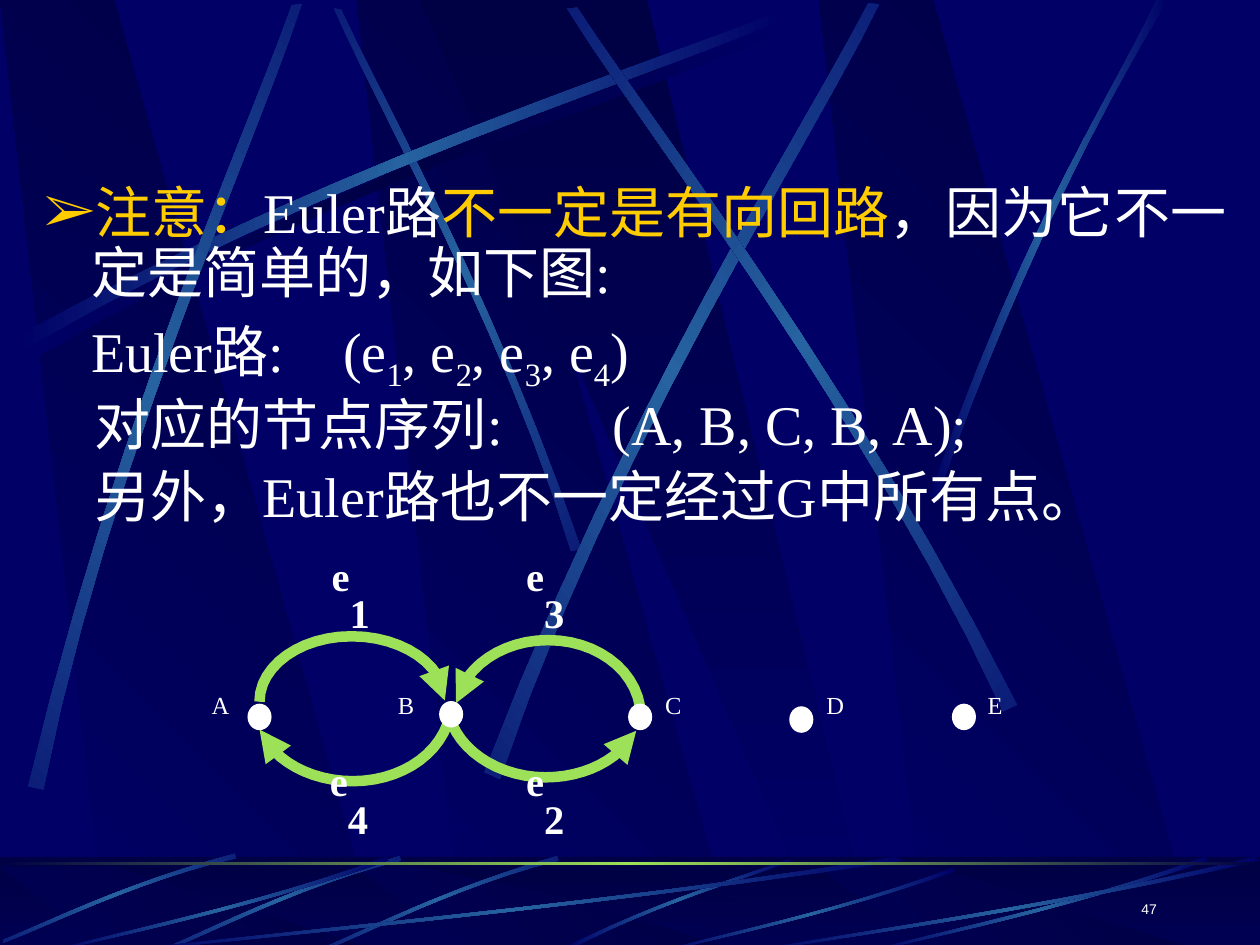
from dataclasses import dataclass

from lxml.etree import SubElement
from pptx import Presentation
from pptx.dml.color import RGBColor
from pptx.enum.shapes import MSO_SHAPE
from pptx.enum.text import MSO_ANCHOR, PP_ALIGN
from pptx.oxml.ns import qn
from pptx.util import Pt


@dataclass(frozen=True)
class Theme:
    navy: str = "000066"
    night: str = "000044"
    beam: str = "2663A0"
    green: str = "9CE157"
    gold: str = "FFCC00"
    white: str = "FFFFFF"
    serif: str = "Times New Roman"
    sans: str = "Arial"
    body: float = 32
    node: float = 14
    edge: float = 23.2
    edge_index: float = 40
    number: float = 8


THEME = Theme()
DEEPEN = (THEME.navy, THEME.night)
LIGHTEN = (THEME.night, THEME.navy)
SHADE = (THEME.navy, THEME.night, THEME.navy)
GLOW = (THEME.navy, THEME.beam, THEME.navy)

PILLAR = [(0.28, 1), (1, 1), (0.3, 0), (0, 0)]
WEDGE = [(0, 0), (0.9, 1), (1, 1), (0.5, 0)]
RAY = [(0, 0.96), (0.43, 0.43), (0.83, 0.15), (0.99, 0),
       (1, 0.02), (0.83, 0.19), (0.38, 0.5), (0.01, 1)]
SPIKE = [(0, 0.99), (0.4, 0.44), (0.79, 0.17), (0.95, 0),
         (1, 0), (0.52, 0.37), (0.16, 0.81), (0.03, 1)]
SWEEP = [(1, 0.04), (0.57, 0.57), (0.17, 0.85), (0.01, 1),
         (0, 0.99), (0.17, 0.81), (0.61, 0.51), (0.99, 0)]

RAYS = [
    ((14.4, 13, 437.8, 192.2), 0, False, SHADE),
    ((101.5, 97.2, 318.2, 126), 45, True, GLOW),
    ((10.1, 7.2, 437.8, 192.2), 0, False, GLOW),
    ((-123.1, 131, 437.8, 192.2), 311.7, False, GLOW),
    ((166.3, 115.2, 449.3, 216.7), 321.6, False, GLOW),
    ((232.6, 109.4, 437.8, 192.2), 34.7, True, GLOW),
]
FLOOR_RAYS = [
    ((322.6, 491, 129.6, 52.6), 0, False, GLOW),
    ((185.8, 486.7, 132.5, 59.8), 315, True, GLOW),
    ((95.8, 486.7, 132.5, 59.8), 315, True, GLOW),
    ((3.6, 483.1, 129.6, 61.2), 315, True, GLOW),
]
FLOOR_SWEEPS = [
    (72, 489.6, 444.2, 54), (30.2, 489.6, 192.2, 54), (379.4, 496.1, 166.3, 47.5),
    (498.2, 489.6, 192.2, 54), (432, 489.6, 288, 54),
]
ARCS = [
    [(365.8, 403.9), (362.2, 381.6), (339.8, 365.8), (313.2, 365.8),
     (287.3, 365.8), (265, 380.9), (260.6, 401.8)],
    [(148.3, 401), (148.3, 380.2), (172.1, 363.6), (200.9, 363.6),
     (230.4, 363.6), (254.2, 380.2), (254.2, 400.3)],
    [(255.6, 414), (248.4, 433.4), (226.8, 446.4), (201.6, 446.4),
     (177.8, 446.4), (156.2, 434.9), (148.3, 416.9)],
    [(258.5, 414), (266.4, 432), (288, 444.2), (311.8, 444.2),
     (334.1, 444.2), (354.2, 434.2), (363.6, 417.6)],
]
NODES = [("A", 141.8, 402.5, 113.8), ("B", 251.3, 401, 220.3), ("C", 359.3, 402.5, 373),
         ("D", 451.4, 404, 465.1), ("E", 544.3, 402.5, 557.3)]
EDGE_LABELS = [("1", 182.4, 294.3), ("2", 293.5, 411.8),
               ("3", 293.5, 294.3), ("4", 181.4, 411.8)]

NOTE = [
    [("注意：", THEME.gold), ("Euler路", THEME.white), ("不一定是有向回路", THEME.gold),
     ("，因为它不一定是简单的，如下图:", THEME.white)],
    [("Euler路:\t(e", None), ("1", "sub"), (", e", None), ("2", "sub"), (", e", None),
     ("3", "sub"), (", e", None), ("4", "sub"), (")", None)],
    [("对应的节点序列:\t (A, B, C, B, A);", None)],
    [("另外，Euler路也不一定经过G中所有点。", None)],
]


def rgb(color):
    return RGBColor.from_string(color)


def bezier(curve, steps=12):
    for step in range(steps + 1):
        t = step / steps
        weights = ((1 - t) ** 3, 3 * t * (1 - t) ** 2, 3 * t * t * (1 - t), t ** 3)
        yield tuple(sum(w * point[axis] for w, point in zip(weights, curve)) for axis in (0, 1))


def outline(slide, points, close):
    corners = [(Pt(x), Pt(y)) for x, y in points]
    builder = slide.shapes.build_freeform(*corners[0], scale=1.0)
    builder.add_line_segments(corners[1:], close=close)
    shape = builder.convert_to_shape()
    shape.shadow.inherit = False
    return shape


def shade(shape, colors, angle):
    shape.line.fill.background()
    shape.fill.gradient()
    gradient = shape._element.spPr.find(qn("a:gradFill"))
    stops = gradient.find(qn("a:gsLst"))
    for stop in list(stops):
        stops.remove(stop)
    for index, color in enumerate(colors):
        stop = SubElement(stops, qn("a:gs"), pos=str(100000 * index // (len(colors) - 1)))
        SubElement(stop, qn("a:srgbClr"), val=color)
    gradient.find(qn("a:lin")).set("ang", str(angle * 60000))


def add_panel(slide, form, box, colors, angle, rotation=0, flip=False):
    left, top, width, height = box
    points = [(left + width * (1 - x if flip else x), top + height * y) for x, y in form]
    panel = outline(slide, points, close=True)
    panel.rotation = rotation
    shade(panel, colors, angle)


def add_beam(slide, form, box, rotation=0, flip=False, colors=GLOW):
    edges = [*bezier(form[:4]), *bezier(form[4:])]
    add_panel(slide, edges, box, colors, 0, rotation, flip)


def add_preset(slide, kind, left, top, width, height):
    shape = slide.shapes.add_shape(kind, Pt(left), Pt(top), Pt(width), Pt(height))
    shape.shadow.inherit = False
    return shape


def add_band(slide, top, height, colors, angle):
    shade(add_preset(slide, MSO_SHAPE.RECTANGLE, 0, top, 720, height), colors, angle)


def add_veil(slide):
    veil = add_preset(slide, MSO_SHAPE.RECTANGLE, 0, 489.6, 720, 54)
    veil.line.fill.background()
    veil.fill.solid()
    veil.fill.fore_color.rgb = rgb(THEME.night)
    tint = veil._element.spPr.find(qn("a:solidFill")).find(qn("a:srgbClr"))
    SubElement(tint, qn("a:alpha"), val="50000")


def add_scenery(slide):
    columns = (203.8, 0, 468)
    for left in columns:
        add_panel(slide, PILLAR, (left, 0, 217.4, 541.4), DEEPEN, 315)
    add_panel(slide, WEDGE, (239.8, 0, 259.9, 540.7), LIGHTEN, 90)
    for ray in RAYS:
        add_beam(slide, RAY, *ray)
    add_beam(slide, SPIKE, (531.4, 0, 136.1, 285.8))
    add_band(slide, 489.6, 54, LIGHTEN, 90)
    for left in columns:
        add_panel(slide, PILLAR, (left, 495.4, 217.4, 48), DEEPEN, 315)
    add_panel(slide, WEDGE, (239.8, 495.4, 259.9, 48), LIGHTEN, 90)
    add_veil(slide)
    for ray in FLOOR_RAYS:
        add_beam(slide, RAY, *ray)
    for box in FLOOR_SWEEPS:
        add_beam(slide, SWEEP, box)
    add_band(slide, 492.5, 1.8, (THEME.night, THEME.green, THEME.night), 0)


def add_arc(slide, points):
    arc = outline(slide, [*bezier(points[:4]), *list(bezier(points[3:]))[1:]], close=False)
    arc.fill.background()
    arc.line.color.rgb = rgb(THEME.green)
    arc.line.width = Pt(6)
    SubElement(arc.line._get_or_add_ln(), qn("a:tailEnd"), type="triangle")


def add_dot(slide, left, top):
    dot = add_preset(slide, MSO_SHAPE.OVAL, left, top, 13, 14.4)
    dot.fill.solid()
    dot.fill.fore_color.rgb = rgb(THEME.white)
    dot.line.color.rgb = rgb(THEME.white)
    dot.line.width = Pt(0.75)


def add_text(slide, left, top, width, height):
    frame = slide.shapes.add_textbox(Pt(left), Pt(top), Pt(width), Pt(height)).text_frame
    frame.word_wrap = True
    return frame


def add_run(paragraph, words, size, color=THEME.white, face=THEME.serif, bold=False, baseline=0):
    run = paragraph.add_run()
    run.text = words
    run.font.size, run.font.name, run.font.bold = Pt(size), face, bold
    run.font.color.rgb = rgb(color)
    if baseline:
        run.font._element.set("baseline", str(baseline * 1000))


def add_note(slide):
    frame = add_text(slide, 18, 102.2, 690, 210)
    for index, pieces in enumerate(NOTE):
        paragraph = frame.add_paragraph() if index else frame.paragraphs[0]
        paragraph.line_spacing = 0.9
        properties = paragraph._p.get_or_add_pPr()
        properties.set("marL", str(Pt(27 if index < 2 else 29)))
        properties.set("defTabSz", str(Pt(72)))
        if index:
            paragraph.space_before = Pt(6.4)
        else:
            properties.set("indent", str(Pt(-27)))
            tint = SubElement(properties, qn("a:buClr"))
            SubElement(tint, qn("a:srgbClr"), val=THEME.gold)
            SubElement(properties, qn("a:buFont"), typeface=THEME.serif)
            SubElement(properties, qn("a:buChar"), char="➢")
        for words, style in pieces:
            color = THEME.gold if style == THEME.gold else THEME.white
            add_run(paragraph, words, THEME.body, color, baseline=-25 if style == "sub" else 0)


def add_graph(slide):
    for points in ARCS:
        add_arc(slide, points)
    for name, dot_left, dot_top, label_left in NODES:
        add_dot(slide, dot_left, dot_top)
        label = add_text(slide, label_left, 391, 30, 24)
        add_run(label.paragraphs[0], name, THEME.node)
    for index, left, top in EDGE_LABELS:
        label = add_text(slide, left, top, 46, 55).paragraphs[0]
        add_run(label, "e", THEME.edge, bold=True)
        add_run(label, index, THEME.edge_index, bold=True, baseline=-54)


def add_page_number(slide):
    frame = add_text(slide, 518.4, 491.8, 149.8, 36)
    frame.vertical_anchor = MSO_ANCHOR.BOTTOM
    frame.paragraphs[0].alignment = PP_ALIGN.RIGHT
    add_run(frame.paragraphs[0], "47", THEME.number, face=THEME.sans)


def main():
    deck = Presentation()
    deck.slide_width, deck.slide_height = Pt(720), Pt(540)
    slide = deck.slides.add_slide(deck.slide_layouts[6])
    slide.background.fill.solid()
    slide.background.fill.fore_color.rgb = rgb(THEME.navy)
    add_scenery(slide)
    add_note(slide)
    add_graph(slide)
    add_page_number(slide)
    deck.save("out.pptx")


if __name__ == "__main__":
    main()
